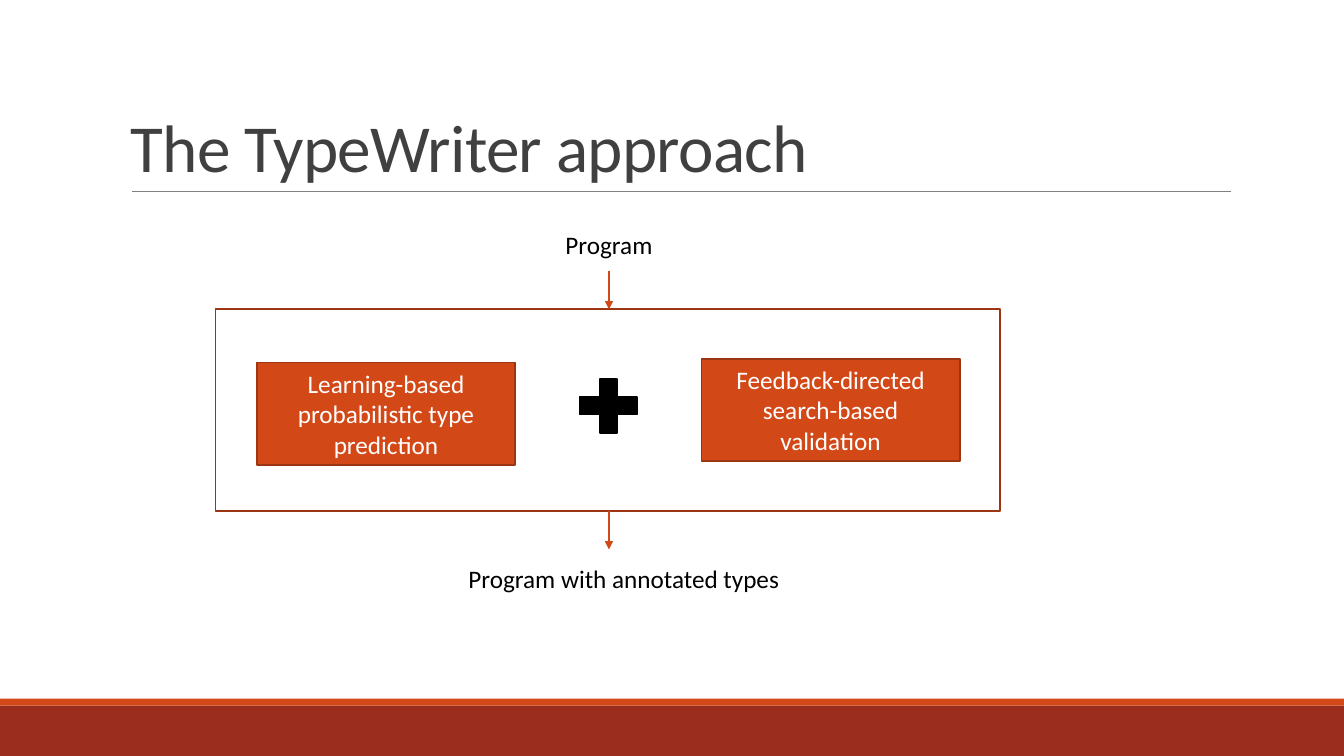
from dataclasses import dataclass

from lxml.etree import SubElement
from pptx import Presentation
from pptx.dml.color import RGBColor
from pptx.enum.shapes import MSO_CONNECTOR, MSO_SHAPE
from pptx.enum.text import MSO_ANCHOR as Anchor, PP_ALIGN as Align
from pptx.oxml.ns import qn
from pptx.util import Pt

ORANGE, DARK_ORANGE, RED = "D34817", "9C3511", "9B2D1F"
BLACK, WHITE, GREY, CHARCOAL = "000000", "FFFFFF", "808080", "404040"
PAGE_WIDTH, PAGE_HEIGHT = 960, 540
FLOW_X = 435


@dataclass
class Block:
    left: float
    top: float
    width: float
    height: float
    fill: str | None = None
    border: str | None = None
    text: str = ""
    kind: MSO_SHAPE = MSO_SHAPE.RECTANGLE


@dataclass
class Label:
    left: float
    top: float
    width: float
    height: float
    text: str
    align: Align = Align.LEFT
    anchor: Anchor = Anchor.TOP
    size: float = 18
    color: str = BLACK
    line_spacing: float = 1.0
    tracking: float = 0


@dataclass
class Line:
    start: tuple[float, float]
    end: tuple[float, float]
    color: str
    width: float
    arrow: bool = False


BLOCKS = [
    Block(0, 504, PAGE_WIDTH, 36, RED),
    Block(0, 499, PAGE_WIDTH, 5, ORANGE),
    Block(183.5, 259, 184.5, 73, ORANGE, DARK_ORANGE,
          "Learning-based probabilistic type prediction"),
    Block(501, 256.25, 184.5, 73, ORANGE, DARK_ORANGE,
          "Feedback-directed search-based validation"),
    Block(406.5, 264, 56, 52, BLACK, BLACK, kind=MSO_SHAPE.MATH_PLUS),
    Block(154, 221, 560.5, 144, border=DARK_ORANGE),
]
LABELS = [
    Label(86.4, 22.5, 792, 114.2, "The TypeWriter approach", anchor=Anchor.BOTTOM,
          size=48, color=CHARCOAL, line_spacing=0.85, tracking=-0.5),
    Label(368, 160.5, 134, 29, "Program", Align.CENTER),
    Label(327.5, 399, 253.5, 29, "Program with annotated types"),
]
LINES = [
    Line((94.3, 136.8), (879, 136.8), GREY, 0.5),
    Line((FLOW_X, 193.5), (FLOW_X, 221), ORANGE, 1, True),
    Line((FLOW_X, 365), (FLOW_X, 392.5), ORANGE, 1, True),
]


def rgb(color: str) -> RGBColor:
    return RGBColor.from_string(color)


def write(box, label: Label) -> None:
    frame = box.text_frame
    for name, value in {"word_wrap": True, "vertical_anchor": label.anchor}.items():
        setattr(frame, name, value)
    para = frame.paragraphs[0]
    para.alignment, para.line_spacing = label.align, label.line_spacing
    span = para.add_run()
    span.text = label.text
    for name, value in {"name": "Calibri", "size": Pt(label.size)}.items():
        setattr(span.font, name, value)
    span.font.color.rgb = rgb(label.color)
    if label.tracking:
        span.font._element.set("spc", str(round(label.tracking * 100)))


def draw_block(page, block: Block) -> None:
    place = map(Pt, (block.left, block.top, block.width, block.height))
    box = page.shapes.add_shape(block.kind, *place)
    box.shadow.inherit = False
    if block.fill:
        box.fill.solid()
        box.fill.fore_color.rgb = rgb(block.fill)
    else:
        box.fill.background()
    if block.border:
        box.line.color.rgb = rgb(block.border)
        box.line.width = Pt(1.25)
    else:
        box.line.fill.background()
    if block.text:
        write(box, Label(block.left, block.top, block.width, block.height, block.text,
                         Align.CENTER, Anchor.MIDDLE, color=WHITE))


def draw_label(page, label: Label) -> None:
    place = map(Pt, (label.left, label.top, label.width, label.height))
    write(page.shapes.add_textbox(*place), label)


def draw_line(page, line: Line) -> None:
    ends = map(Pt, (*line.start, *line.end))
    connector = page.shapes.add_connector(MSO_CONNECTOR.STRAIGHT, *ends)
    connector.line.color.rgb = rgb(line.color)
    connector.line.width = Pt(line.width)
    if line.arrow:
        SubElement(connector.line._get_or_add_ln(), qn("a:tailEnd"), type="triangle")
    SubElement(connector._element.spPr, qn("a:effectLst"))


def main() -> None:
    deck = Presentation()
    deck.slide_width, deck.slide_height = Pt(PAGE_WIDTH), Pt(PAGE_HEIGHT)
    page = deck.slides.add_slide(deck.slide_layouts[6])
    for block in BLOCKS:
        draw_block(page, block)
    for label in LABELS:
        draw_label(page, label)
    for line in LINES:
        draw_line(page, line)
    deck.save("out.pptx")


if __name__ == "__main__":
    main()
